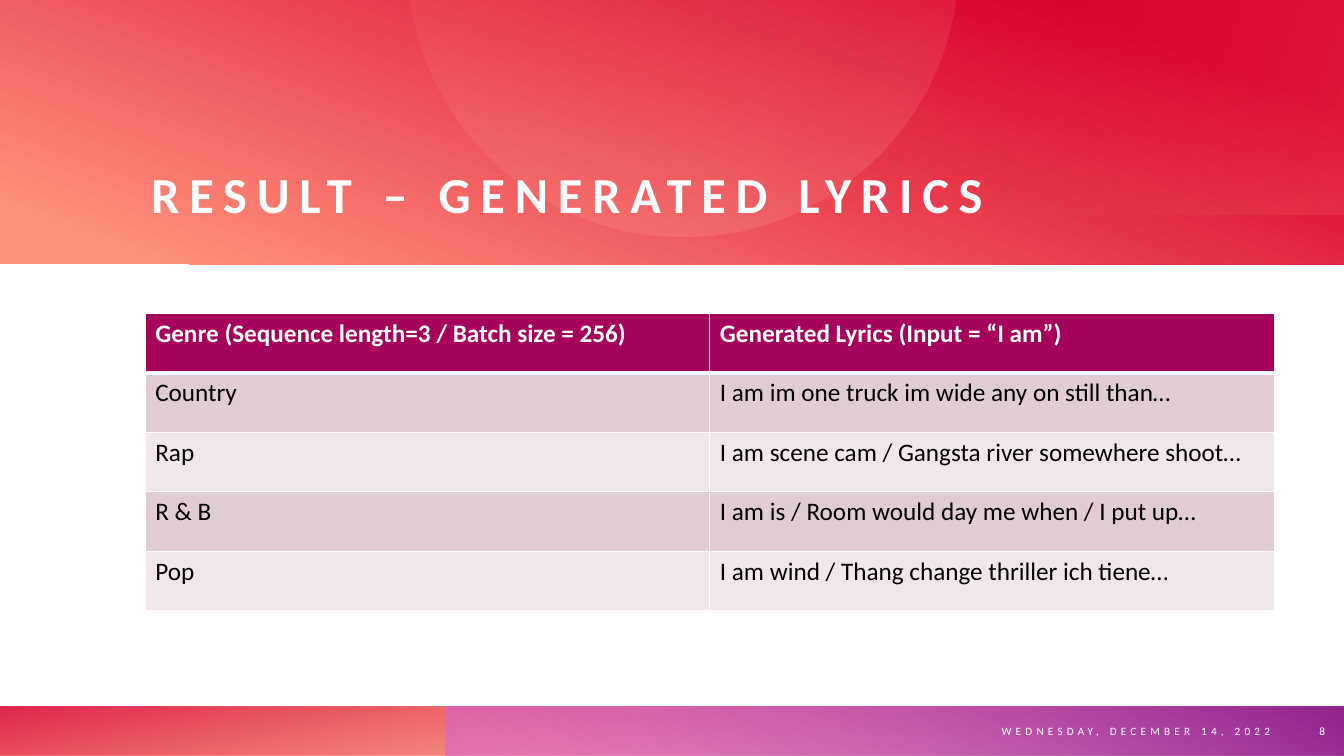
from math import asin, cos, pi, sin

from lxml.etree import SubElement as Sub
from pptx import Presentation
from pptx.dml.color import RGBColor as RGB
from pptx.enum.shapes import MSO_SHAPE as Shape
from pptx.enum.text import MSO_ANCHOR as Anchor, PP_ALIGN as Align
from pptx.oxml.ns import qn
from pptx.util import Inches, Pt

WHITE, BLACK = RGB(255, 255, 255), RGB(0, 0, 0)
HEAD = RGB(0xA6, 0x02, 0x5C)
BANDS = RGB(0xF1, 0xE7, 0xEA), RGB(0xE1, 0xCC, 0xD2)
RED, PEACH = RGB(0xDA, 0x00, 0x2F), RGB(0xFF, 0x90, 0x7A)
BLUSH, ORANGE = RGB(0xFF, 0xBC, 0xAF), RGB(0xFE, 0x4A, 0x00)
PINK, PURPLE = RGB(0xD8, 0x61, 0xD4), RGB(0x92, 0x24, 0x8E)
FONT = "Calibri"
WIDE, HIGH = 13.33, 7.5

# Text: wording, box, size, bold, letter spacing, alignment, anchor, inset
TEXTS = [
    ("RESULT – GENERATED LYRICS", (1.5, 0.87, 11.2, 1.35),
     36, True, 7, Align.LEFT, Anchor.BOTTOM, 0),
    ("WEDNESDAY, DECEMBER 14, 2022", (8.65, 7.01, 4.05, 0.49),
     8, False, 3, Align.RIGHT, Anchor.MIDDLE, 0.1),
    ("8", (12.76, 7.01, 0.48, 0.49),
     8, False, 0, Align.RIGHT, Anchor.MIDDLE, 0.1),
]
ROWS = [
    ("Genre (Sequence length=3 / Batch size = 256)",
     "Generated Lyrics (Input = “I am”)"),
    ("Country", "I am im one truck im wide any on still than…"),
    ("Rap", "I am scene cam / Gangsta river somewhere shoot…"),
    ("R & B", "I am is / Room would day me when / I put up…"),
    ("Pop", "I am wind / Thang change thriller ich tiene…"),
]
# Panels: box, clockwise angle, stops of (place, colour, opacity)
FOOT = [
    ((0, 7.01, WIDE, 0.49), 260, [(14, ORANGE, 28), (100, RED, 85)]),
    ((4.42, 7.01, 8.91, 0.49), 300, [(9, PINK, 55), (99, PURPLE, 100)]),
]
BANNER = ((0, 0, WIDE, 2.62), 290, [(8, PEACH, 100), (86, RED, 100)])
GLOW = ((4.44, 0, 8.89, 2.13), 200, [(0, PEACH, 16), (62, RED, 0)])
DISC = (6.77, -0.38, 2.73)  # centre x, centre y, radius
DISC_FILL = (77, [(0, PEACH, 12), (100, BLUSH, 20)])


def shade(shape, angle, stops):
    """Give a shape a linear gradient with opacity, and no line or shadow."""
    shape.shadow.inherit = False
    shape.line.fill.background()
    shape.fill.gradient()
    grad = shape.fill._fill._gradFill
    for part in list(grad):
        grad.remove(part)
    group = Sub(grad, qn("a:gsLst"))
    for place, tint, alpha in stops:
        stop = Sub(group, qn("a:gs"), pos=str(place * 1000))
        color = Sub(stop, qn("a:srgbClr"), val=str(tint))
        if alpha < 100:
            Sub(color, qn("a:alpha"), val=str(alpha * 1000))
    Sub(grad, qn("a:lin"), ang=str(angle * 60000), scaled="0")


def add_panel(slide, box, angle, stops):
    """Add a gradient rectangle."""
    panel = slide.shapes.add_shape(Shape.RECTANGLE, *map(Inches, box))
    shade(panel, angle, stops)


def add_disc(slide):
    """Add the part of the disc that lies below the top edge."""
    x, y, r = DISC
    start = asin(-y / r)
    steps = 90
    turns = [start + (pi - 2 * start) * i / steps for i in range(steps + 1)]
    dots = [(Inches(x + r * cos(t)), Inches(y + r * sin(t))) for t in turns]
    form = slide.shapes.build_freeform(*dots[0])
    form.add_line_segments(dots[1:], close=True)
    shade(form.convert_to_shape(), *DISC_FILL)


def style(para, size, bold, color, gap=0):
    """Format the runs of a paragraph."""
    for run in para.runs:
        font = run.font
        font.name, font.size, font.bold = FONT, Pt(size), bold
        font.color.rgb = color
        if gap:
            run._r.get_or_add_rPr().set("spc", str(gap * 100))


def add_text(slide, text, box, size, bold, gap, align, anchor, inset):
    """Add a white line of text."""
    frame = slide.shapes.add_textbox(*map(Inches, box)).text_frame
    frame.word_wrap = True
    frame.vertical_anchor = anchor
    frame.margin_left = frame.margin_right = Inches(inset)
    frame.margin_top = frame.margin_bottom = Inches(inset / 2)
    frame.text = text
    para = frame.paragraphs[0]
    para.alignment = align
    style(para, size, bold, WHITE, gap)


def edge(cell, top, low):
    """Draw white borders around a cell."""
    props = cell._tc.get_or_add_tcPr()
    for side, width in zip("LRTB", (1, 1, top, low)):
        line = Sub(props, qn("a:ln" + side), w=str(Pt(width)))
        fill = Sub(line, qn("a:solidFill"))
        Sub(fill, qn("a:srgbClr"), val=str(WHITE))


def add_lyrics(slide):
    """Add the table of genres and lyrics."""
    box = (1.44, 3.11, 11.2, 0.59 * len(ROWS))
    frame = slide.shapes.add_table(len(ROWS), 2, *map(Inches, box))
    for i, row in enumerate(ROWS):
        for j, text in enumerate(row):
            cell = frame.table.cell(i, j)
            edge(cell, 3 if i == 1 else 1, 3 if i == 0 else 1)
            cell.fill.solid()
            cell.fill.fore_color.rgb = BANDS[i % 2] if i else HEAD
            cell.text_frame.text = text
            style(cell.text_frame.paragraphs[0], 18, i == 0,
                  BLACK if i else WHITE)


deck = Presentation()
deck.slide_width, deck.slide_height = Inches(WIDE), Inches(HIGH)
slide = deck.slides.add_slide(deck.slide_layouts[6])
for panel in FOOT + [BANNER]:
    add_panel(slide, *panel)
add_disc(slide)
add_panel(slide, *GLOW)
for item in TEXTS:
    add_text(slide, *item)
add_lyrics(slide)
deck.save("out.pptx")
